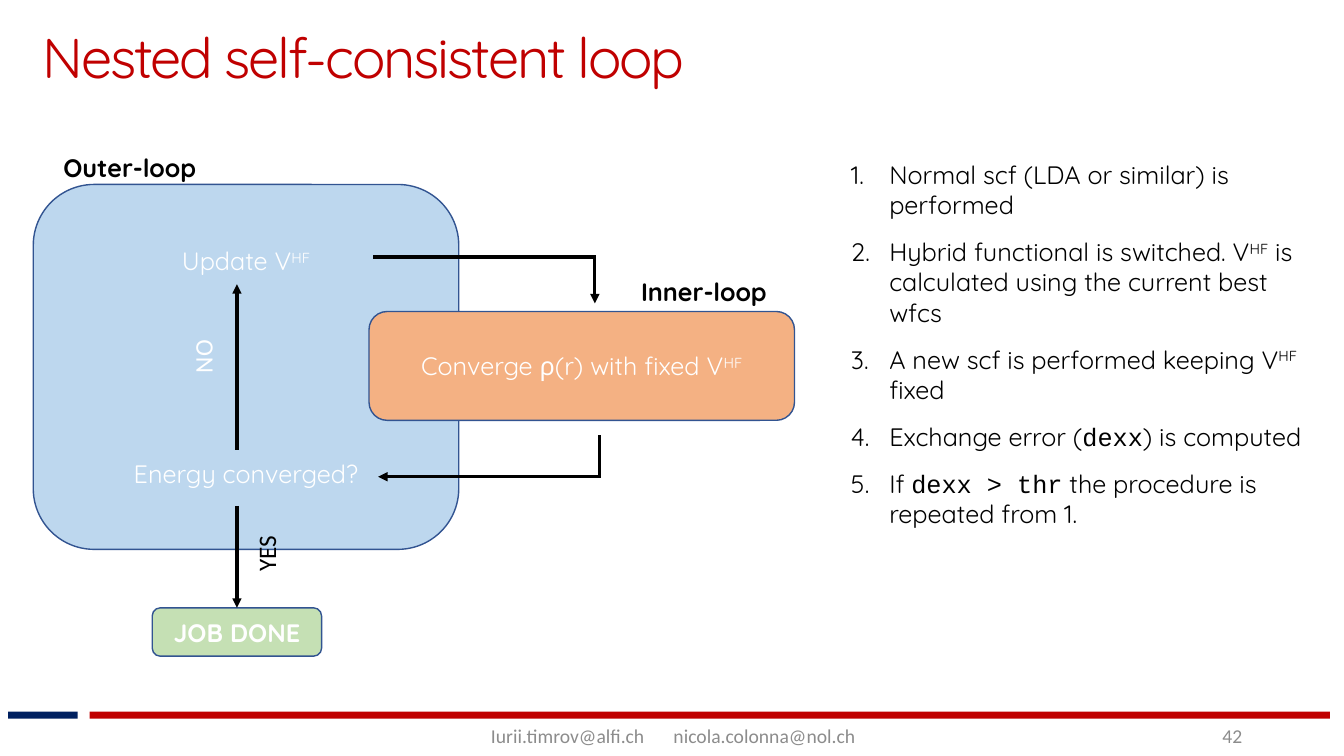
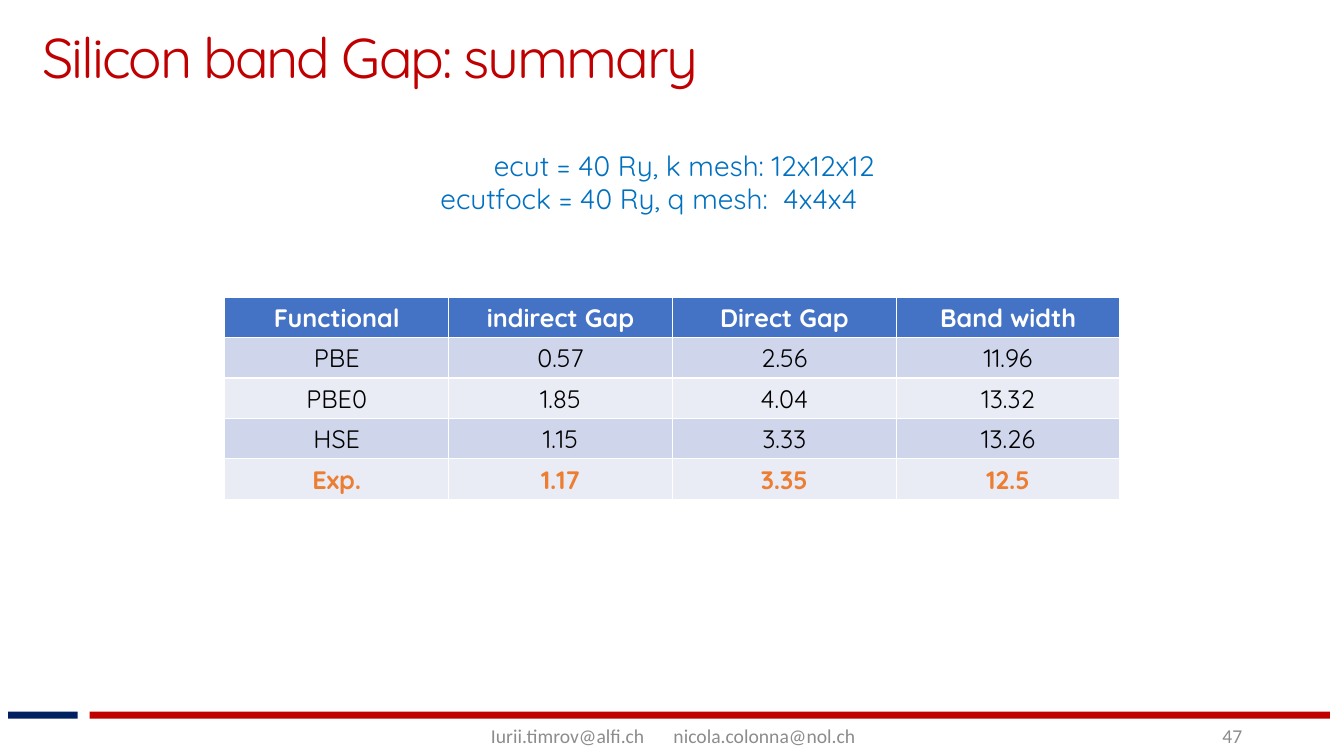
from lxml.etree import SubElement
from pptx import Presentation
from pptx.dml.color import RGBColor
from pptx.enum.shapes import MSO_CONNECTOR, MSO_SHAPE
from pptx.enum.text import MSO_ANCHOR, MSO_AUTO_SIZE, PP_ALIGN
from pptx.oxml.ns import qn
from pptx.util import Inches, Pt

RED, NAVY, GREY, BLACK, WHITE = "C00000", "002060", "8C8C8C", "000000", "FFFFFF"
LEFT, MID, RIGHT = PP_ALIGN.LEFT, PP_ALIGN.CENTER, PP_ALIGN.RIGHT


def rgb(code):
    return RGBColor.from_string(code)


def write(frame, text, size=18, font="Quicksand", color=BLACK, bold=False,
          align=LEFT, track=0):
    """Lines become paragraphs; | splits runs, ^ raises one, ` makes it code."""
    for i, line in enumerate(text.split("\n")):
        para = frame.paragraphs[0] if i == 0 else frame.add_paragraph()
        para.alignment = align
        for part in line.split("|"):
            run = para.add_run()
            run.text = part.lstrip("^`")
            run.font.name = "Courier New" if part.startswith("`") else font
            run.font.size = Pt(size)
            run.font.bold = bold
            run.font.color.rgb = rgb(color)
            props = run._r.get_or_add_rPr()
            if part.startswith("^"):
                props.set("baseline", "30000")
            if track:
                props.set("spc", str(int(track * 100)))


deck = Presentation()
deck.slide_width, deck.slide_height = Inches(13.33), Inches(7.5)
loop = deck.slides.add_slide(deck.slide_layouts[1])
gaps = deck.slides.add_slide(deck.slide_layouts[5])

# Shared title, bands and footer
mails = "Iurii.timrov@alfi.ch\tnicola.colonna@nol.ch"
for slide, title, page in [(loop, "Nested self-consistent loop", "42"),
                           (gaps, "Silicon band Gap: summary", "47")]:
    head = slide.shapes.title
    head.left, head.top = Inches(0.42), Inches(0.01)
    head.width, head.height = Inches(12.87), Inches(1.1)
    frame = head.text_frame
    frame.margin_left = frame.margin_top = frame.margin_bottom = 0
    frame.margin_right = Inches(0.02)
    frame.vertical_anchor = MSO_ANCHOR.MIDDLE
    frame.auto_size = MSO_AUTO_SIZE.NONE
    write(frame, title, size=40, color=RED, track=-1.5)

    for x, w, color in [(0.08, 0.69, NAVY), (0.89, 12.3, RED)]:
        band = slide.shapes.add_shape(MSO_SHAPE.RECTANGLE, Inches(x), Inches(7.06),
                                      Inches(w), Inches(0.07))
        band.shadow.inherit = False
        band.fill.solid()
        band.fill.fore_color.rgb = rgb(color)
        band.line.fill.background()

    for x, w, inset, text, align in [(4.42, 4.5, 0.45, mails, LEFT),
                                     (9.42, 3, 0.1, page, RIGHT)]:
        foot = slide.shapes.add_textbox(Inches(x), Inches(7.1), Inches(w), Inches(0.4))
        frame = foot.text_frame
        frame.word_wrap = True
        frame.margin_left = Inches(inset)
        frame.vertical_anchor = MSO_ANCHOR.MIDDLE
        write(frame, text, size=14, font="Calibri", color=GREY, align=align)
        if "\t" in text:
            tabs = SubElement(frame.paragraphs[0]._p.get_or_add_pPr(), qn("a:tabLst"))
            SubElement(tabs, qn("a:tab"), pos=str(Inches(1.81)), algn="l")

# Loop boxes
boxes = []
for x, y, w, h, fill, text, bold in [
    (0.33, 1.83, 4.22, 3.62, "BDD7EE", "Update V|^HF\nEnergy converged?", False),
    (3.66, 3.09, 4.22, 1.08, "F4B183", "Converge ρ(r) with fixed V|^HF", False),
    (1.51, 6.03, 1.68, 0.48, "C5E0B4", "JOB DONE", True),
]:
    box = loop.shapes.add_shape(MSO_SHAPE.ROUNDED_RECTANGLE, Inches(x), Inches(y),
                                Inches(w), Inches(h))
    box.shadow.inherit = False
    box.fill.solid()
    box.fill.fore_color.rgb = rgb(fill)
    box.line.color.rgb = rgb("325491")
    box.line.width = Pt(1)
    box.text_frame.vertical_anchor = MSO_ANCHOR.MIDDLE
    write(box.text_frame, text, color=WHITE, bold=bold, align=MID)
    boxes.append(box)
outer, inner, done = boxes
outer.text_frame.paragraphs[1].space_before = Pt(130)

# Numbered steps
steps = loop.placeholders[1]
steps.left, steps.top = Inches(8.34), Inches(1.53)
steps.width, steps.height = Inches(4.78), Inches(4.08)
steps.text_frame.auto_size = MSO_AUTO_SIZE.NONE
write(steps.text_frame, "\n".join([
    "Normal scf (LDA or similar) is performed",
    "Hybrid functional is switched. V|^HF| is calculated using the current best wfcs",
    "A new scf is performed keeping V|^HF| fixed",
    "Exchange error (|`dexx|) is computed",
    "If |`dexx > thr| the procedure is repeated from 1.",
]))
for i, para in enumerate(steps.text_frame.paragraphs):
    para.space_before = Pt(12 if i else 0)
    props = para._p.get_or_add_pPr()
    props.set("marL", str(Inches(0.38)))
    props.set("indent", str(-Inches(0.38)))
    SubElement(props, qn("a:buFont"), typeface="+mj-lt")
    SubElement(props, qn("a:buAutoNum"), type="arabicPeriod")

# Arrows; the two bent ones are a plain line and a line with a head
wires = []
for x1, y1, x2, y2, tip in [
    (2.35, 5.02, 2.35, 6.03, True),
    (2.35, 4.46, 2.35, 2.82, True),
    (3.7, 2.55, 5.91, 2.55, False),
    (5.9, 2.55, 5.9, 3.01, True),
    (5.95, 4.32, 5.95, 4.74, False),
    (5.95, 4.73, 3.75, 4.73, True),
]:
    wire = loop.shapes.add_connector(MSO_CONNECTOR.STRAIGHT, Inches(x1), Inches(y1),
                                     Inches(x2), Inches(y2))
    wire.line.color.rgb = rgb(BLACK)
    wire.line.width = Pt(2.25)
    if tip:
        SubElement(wire.line._get_or_add_ln(), qn("a:tailEnd"), type="triangle")
    SubElement(wire._element.spPr, qn("a:effectLst"))
    wires.append(wire)
wires[0].end_connect(done, 0)

# Labels
for x, y, w, text, turn, look in [
    (1.74, 3.33, 0.54, "NO", 270, dict(font="Calibri", color=WHITE)),
    (2.25, 5.18, 0.78, "YES", 270, dict(font="Calibri")),
    (0.53, 1.46, 2.13, "Outer-loop", 0, dict(bold=True)),
    (6.26, 2.69, 2.13, "Inner-loop", 0, dict(bold=True)),
]:
    label = loop.shapes.add_textbox(Inches(x), Inches(y), Inches(w), Inches(0.4))
    label.rotation = turn
    label.text_frame.word_wrap = True
    write(label.text_frame, text, **look)

# Band gap table
rows = [
    ("Functional", "indirect Gap", "Direct Gap", "Band width"),
    ("PBE", "0.57", "2.56", "11.96"),
    ("PBE0", "1.85", "4.04", "13.32"),
    ("HSE", "1.15", "3.33", "13.26"),
    ("Exp.", "1.17", "3.35", "12.5"),
]
grid = gaps.shapes.add_table(len(rows), 4, Inches(2.23), Inches(2.95),
                             Inches(8.88), Inches(2)).table
for r, row in enumerate(rows):
    fill = "4472C4" if r == 0 else "CFD5EA" if r % 2 else "E9EBF5"
    color = {0: WHITE, 4: "ED7D31"}.get(r, BLACK)
    for c, text in enumerate(row):
        cell = grid.cell(r, c)
        cell.fill.solid()
        cell.fill.fore_color.rgb = rgb(fill)
        write(cell.text_frame, text, color=color, bold=r in (0, 4), align=MID)

# Run settings, first line indented and last value on a tab stop
note = gaps.shapes.add_textbox(Inches(4.27), Inches(1.42), Inches(4.94), Inches(0.77))
note.text_frame.word_wrap = True
write(note.text_frame, "ecut = 40 Ry, k mesh: 12x12x12\necutfock = 40 Ry, q mesh:\t4x4x4",
      size=20, color="0070C0")
first, last = [para._p.get_or_add_pPr() for para in note.text_frame.paragraphs]
first.set("marL", str(Inches(0.53)))
tabs = SubElement(last, qn("a:tabLst"))
SubElement(tabs, qn("a:tab"), pos=str(Inches(3.4)), algn="l")

deck.save("out.pptx")
